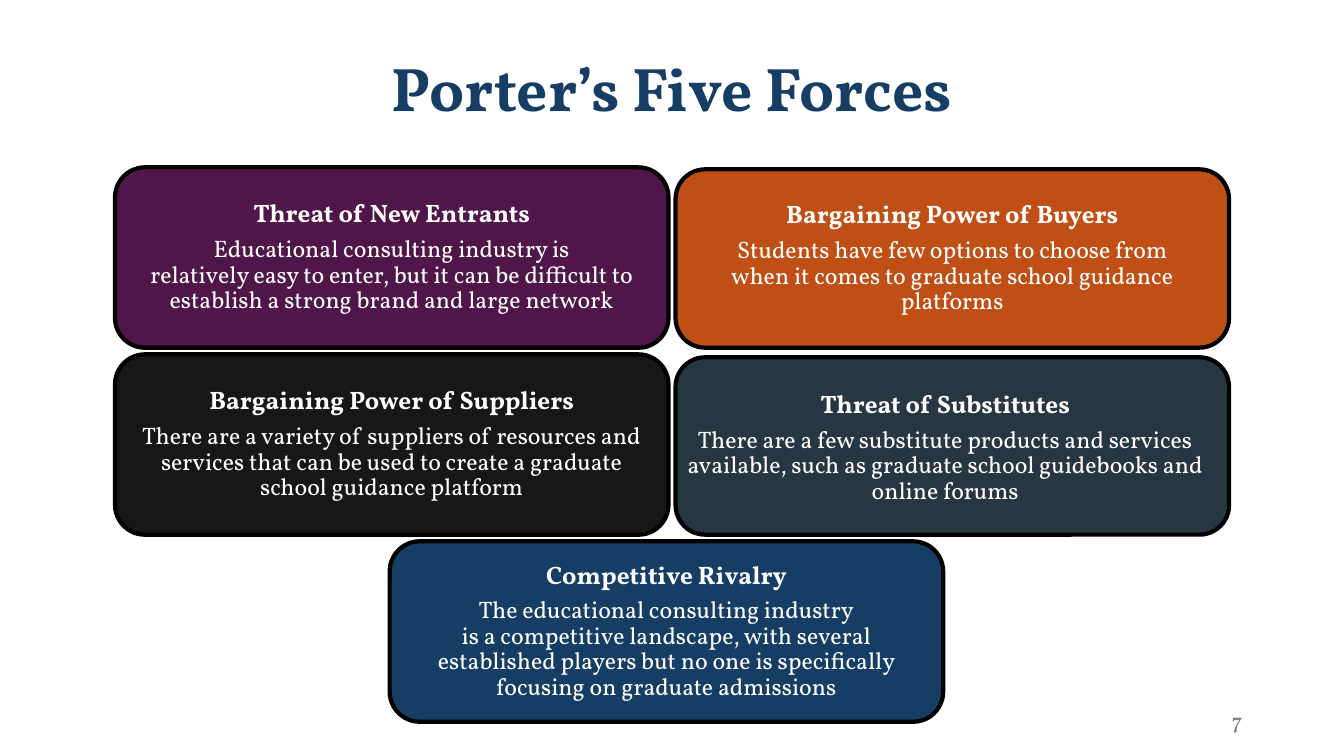
from pptx import Presentation
from pptx.dml.color import RGBColor as RGB
from pptx.enum.shapes import MSO_SHAPE as SHAPE
from pptx.enum.text import MSO_ANCHOR as ANCHOR, PP_ALIGN as ALIGN
from pptx.util import Inches, Pt

COLORS = {
    "purple": "501649", "orange": "C04F15", "black": "171717",
    "slate": "273741", "navy": "163E64", "outline": "000000",
    "white": "FFFFFF", "grey": "797979",
}
LEFT, TOP = 1.14, 1.66
COL_PITCH, ROW_PITCH = 5.56, 1.855
CARD_W, CARD_H = 5.49, 1.79
INSETS = (0.06, 0.06, 0.06, 0.06)
SHIFTED = (0, 0.08, 0.14, 0.03)

FORCES = [
    (0, 0, 0, "purple", INSETS, "Threat of New Entrants",
     "Educational consulting industry is\nrelatively easy to enter, but it can be "
     "difficult to establish a strong brand and large network"),
    (1, 0, 0.02, "orange", INSETS, "Bargaining Power of Buyers",
     "Students have few options to choose from\nwhen it comes to graduate school "
     "guidance platforms"),
    (0, 1, 0, "black", INSETS, "Bargaining Power of Suppliers",
     "There are a variety of suppliers of resources and\nservices that can be used "
     "to create a graduate\nschool guidance platform"),
    (1, 1, 0.03, "slate", SHIFTED, "Threat of Substitutes",
     "There are a few substitute products and services available, such as graduate "
     "school guidebooks and online forums"),
    (0.49, 2, 0, "navy", INSETS, "Competitive Rivalry",
     "The educational consulting industry\nis a competitive landscape, with several "
     "established players but no one is specifically focusing on graduate admissions"),
]


def rgb(name):
    return RGB.from_string(COLORS[name])


def set_attrs(obj, values):
    for name, value in values.items():
        setattr(obj, name, value)


def write(p, text, size, color, bold=False, **layout):
    p.text = text
    set_attrs(p, layout)
    for r in p.runs:
        set_attrs(r.font, {"name": "Vollkorn", "size": Pt(size), "bold": bold})
        r.font.color.rgb = rgb(color)


def add_label(s, box, text, size, color, **fmt):
    tf = s.shapes.add_textbox(*map(Inches, box)).text_frame
    set_attrs(tf, {"word_wrap": True, "vertical_anchor": ANCHOR.MIDDLE})
    write(tf.paragraphs[0], text, size, color, **fmt)


def add_force(s, col, row, drop, color, insets, heading, body):
    box = (LEFT + col * COL_PITCH, TOP + row * ROW_PITCH + drop, CARD_W, CARD_H - drop)
    sp = s.shapes.add_shape(SHAPE.ROUNDED_RECTANGLE, *map(Inches, box))
    sp.shadow.inherit = False
    sp.fill.solid()
    sp.fill.fore_color.rgb = rgb(color)
    sp.line.color.rgb = rgb("outline")
    sp.line.width = Pt(3)
    tf = sp.text_frame
    set_attrs(tf, {"word_wrap": True, "vertical_anchor": ANCHOR.MIDDLE})
    sides = ("margin_left", "margin_top", "margin_right", "margin_bottom")
    set_attrs(tf, dict(zip(sides, map(Inches, insets))))
    layout = {"alignment": ALIGN.CENTER, "line_spacing": 0.9, "space_after": Pt(6)}
    write(tf.paragraphs[0], heading, 18, "white", bold=True, **layout)
    write(tf.add_paragraph(), body, 17, "white", **layout)


def main():
    prs = Presentation()
    set_attrs(prs, {"slide_width": Inches(13.33), "slide_height": Inches(7.5)})
    s = prs.slides.add_slide(prs.slide_layouts[6])
    for force in FORCES:
        add_force(s, *force)
    add_label(s, (1.22, 0.25, 10.89, 1.32), "Porter’s Five Forces", 44, "navy",
              bold=True, alignment=ALIGN.CENTER, line_spacing=0.9)
    add_label(s, (9.42, 6.95, 3, 0.4), "7", 16, "grey", alignment=ALIGN.RIGHT)
    prs.save("out.pptx")


if __name__ == "__main__":
    main()
